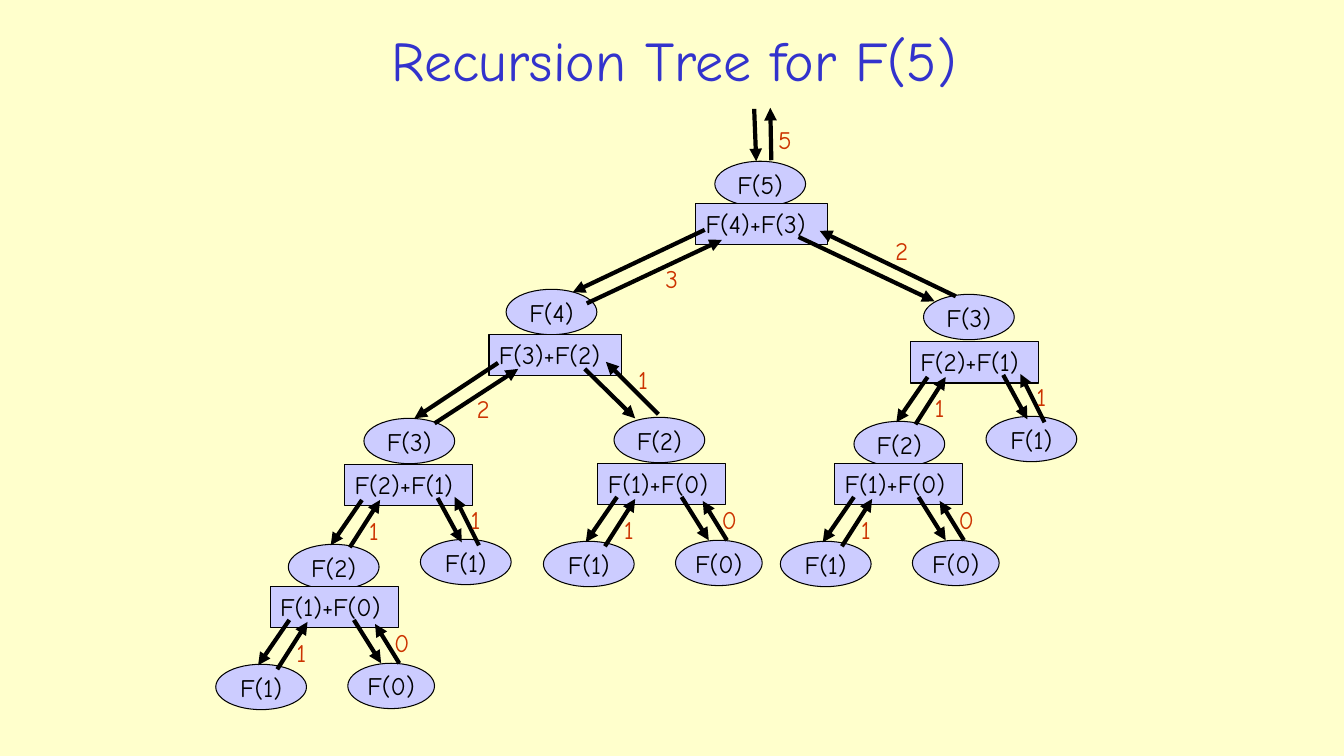
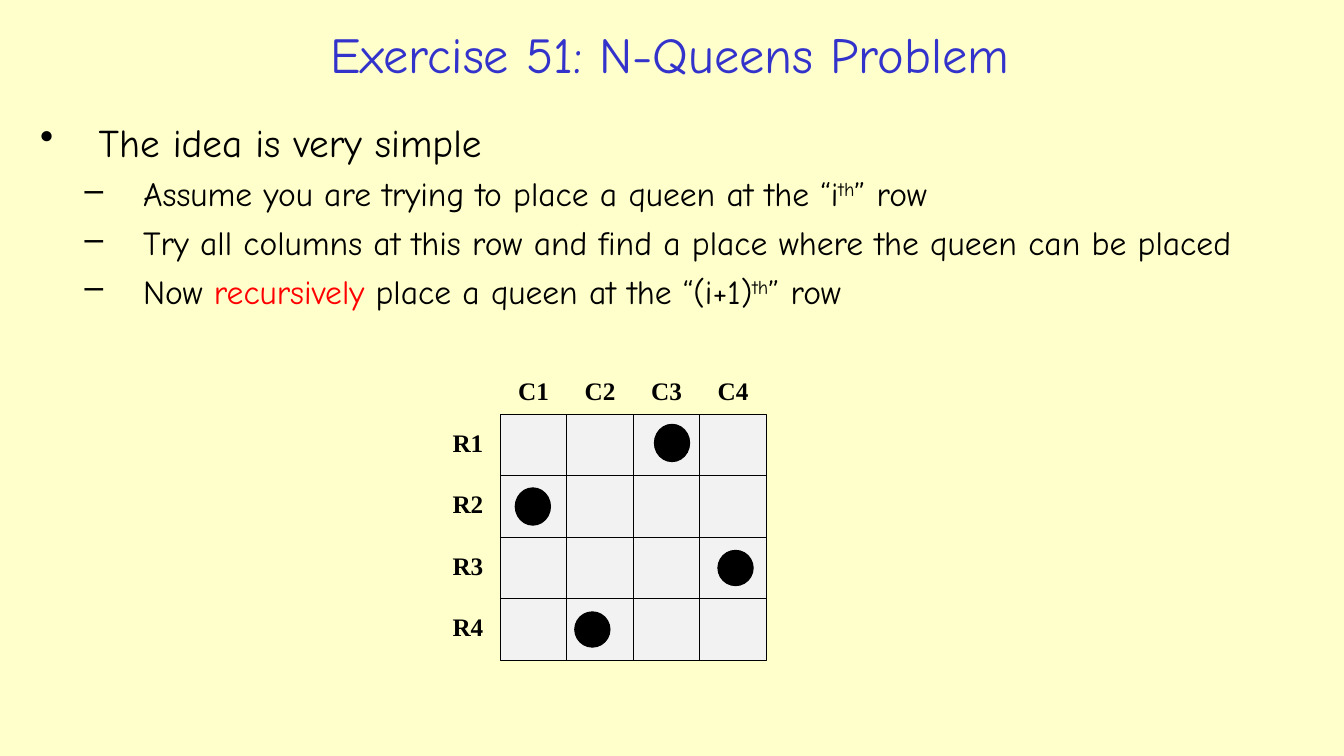
from typing import NamedTuple

from lxml import etree
from pptx import Presentation
from pptx.dml.color import RGBColor
from pptx.enum.shapes import MSO_CONNECTOR, MSO_SHAPE
from pptx.enum.text import MSO_ANCHOR, MSO_AUTO_SIZE, PP_ALIGN
from pptx.oxml.ns import qn
from pptx.util import Pt

# Scale: 100 px to the inch
PX = 9144
SLIDE_WIDTH, SLIDE_HEIGHT = 1333, 750

RECTANGLE = MSO_SHAPE.RECTANGLE
ELLIPSE = MSO_SHAPE.OVAL
STRAIGHT = MSO_CONNECTOR.STRAIGHT
TOP, MIDDLE = MSO_ANCHOR.TOP, MSO_ANCHOR.MIDDLE
LEFT, CENTER = PP_ALIGN.LEFT, PP_ALIGN.CENTER
NO_AUTOFIT = MSO_AUTO_SIZE.NONE
TITLE_ONLY = 5

CREAM = RGBColor(0xFF, 0xFF, 0xCC)
BLUE = RGBColor(0x33, 0x33, 0xCC)
LAVENDER = RGBColor(0xCC, 0xCC, 0xFF)
RUST = RGBColor(0xCC, 0x33, 0x00)
RED = RGBColor(0xFF, 0x00, 0x00)
GRAY = RGBColor(0xF2, 0xF2, 0xF2)
BLACK = RGBColor(0x00, 0x00, 0x00)

HAND_FONT = "Comic Neue"
SERIF_FONT = "Times New Roman"


class Branch(NamedTuple):
    """Offsets of a call and its arrows from the corner of the parent sum."""
    call: tuple
    down: tuple
    up: tuple
    result: tuple


TOP_LEFT = Branch((-188, 85), (9, 26, -122, 88), (-108, 99, 26, 36), (-40, 54))
TOP_RIGHT = Branch((226, 90), (102, 33, 237, 97), (258, 92, 123, 27), (188, 27))
WIDE_LEFT = Branch((-124, 83), (9, 28, -74, 83), (-54, 88, 29, 34), (-22, 53))
WIDE_RIGHT = Branch((124, 82), (95, 34, 145, 83), (168, 79, 116, 27), (138, 25))
MID_LEFT = Branch((-56, 79), (17, 35, -14, 80), (5, 82, 35, 35), (14, 45))
MID_RIGHT = Branch((75, 74), (92, 33, 116, 77), (133, 80, 109, 32), (115, 34))
LOW_LEFT = Branch((-54, 77), (19, 33, -12, 78), (7, 82, 37, 35), (16, 45))
LOW_RIGHT = Branch((77, 76), (83, 33, 110, 76), (128, 76, 104, 37), (113, 35))

# Branches below the sum for F(n), and the places of all sums from the top down
BRANCHES = {
    5: (TOP_LEFT, TOP_RIGHT),
    4: (WIDE_LEFT, WIDE_RIGHT),
    3: (MID_LEFT, MID_RIGHT),
    2: (LOW_LEFT, LOW_RIGHT),
}
SUMS = [
    (5, 690, 202), (4, 485, 332), (3, 342, 461), (2, 268, 582),
    (2, 593, 460), (3, 903, 339), (2, 828, 460),
]
FIBONACCI = [0, 1, 1, 2, 3, 5]

IDEA = [
    (0, [("The idea is very simple", {})]),
    (1, [("Assume you are trying to place a queen at the “i", {}),
         ("th", {"raised": True}), ("” row", {})]),
    (1, [("Try all columns at this row and find a place where "
          "the queen can be placed", {})]),
    (1, [("Now ", {}), ("recursively", {"color": RED}),
         (" place a queen at the “(i+1)", {}),
         ("th", {"raised": True}), ("” row", {})]),
]
# Size, left margin and bullet of each level
LEVELS = [(28, 58, "•"), (24, 102, "–")]
HANGING = 58

BOARD_LEFT, BOARD_TOP = 496, 411
CELL_WIDTH, CELL_HEIGHT = 66, 61
BOARD_SIZE = 4
QUEENS = [(649, 421, 37), (511, 484, 37), (712, 546, 35), (570, 607, 35)]


class Deck:
    """The shared style and the slide being built."""

    def __init__(self):
        self.presentation = Presentation()
        self.presentation.slide_width = SLIDE_WIDTH * PX
        self.presentation.slide_height = SLIDE_HEIGHT * PX
        fill = self.presentation.slide_master.background.fill
        fill.solid()
        fill.fore_color.rgb = CREAM
        self.slide = None

    def add_slide(self, title, box, size):
        layout = self.presentation.slide_layouts[TITLE_ONLY]
        self.slide = self.presentation.slides.add_slide(layout)
        shape = self.slide.shapes.title
        shape.left, shape.top, shape.width, shape.height = (n * PX for n in box)
        paragraph = self.frame(shape, MIDDLE, True, CENTER)
        self.run(paragraph, title, size, BLUE)

    def frame(self, shape, anchor, wrap, align):
        frame = shape.text_frame
        frame.auto_size = NO_AUTOFIT
        frame.word_wrap = wrap
        frame.vertical_anchor = anchor
        frame.paragraphs[0].alignment = align
        return frame.paragraphs[0]

    def run(self, paragraph, text, size=18, color=BLACK, font=HAND_FONT,
            bold=False, raised=False):
        run = paragraph.add_run()
        run.text = text
        run.font.name = font
        run.font.size = Pt(size)
        run.font.bold = bold
        run.font.color.rgb = color
        if raised:
            run._r.get_or_add_rPr().set("baseline", "30000")

    def shape(self, kind, left, top, width, height, color):
        shape = self.slide.shapes.add_shape(
            kind, left * PX, top * PX, width * PX, height * PX)
        shape.shadow.inherit = False
        shape.fill.solid()
        shape.fill.fore_color.rgb = color
        shape.line.color.rgb = BLACK
        shape.line.width = Pt(0.75)
        return shape

    def textbox(self, left, top, width, height, wrap=True):
        shape = self.slide.shapes.add_textbox(
            left * PX, top * PX, width * PX, height * PX)
        return self.frame(shape, TOP, wrap, LEFT)

    def call(self, n, left, top):
        shape = self.shape(ELLIPSE, left, top, 90 if n else 86, 45, LAVENDER)
        self.run(self.frame(shape, MIDDLE, False, CENTER), f"F({n})")

    def sum(self, n, left, top):
        width = 131 if n > 3 else 127
        shape = self.shape(RECTANGLE, left, top, width, 41, LAVENDER)
        self.run(self.frame(shape, TOP, True, LEFT), f"F({n - 1})+F({n - 2})")

    def result(self, value, left, top):
        self.run(self.textbox(left, top, 35, 40), str(value), color=RUST)

    def arrow(self, x1, y1, x2, y2):
        connector = self.slide.shapes.add_connector(
            STRAIGHT, x1 * PX, y1 * PX, x2 * PX, y2 * PX)
        connector.line.color.rgb = BLACK
        connector.line.width = Pt(3)
        properties = connector._element.spPr
        line = properties.find(qn("a:ln"))
        etree.SubElement(line, qn("a:tailEnd"), type="triangle")
        etree.SubElement(properties, qn("a:effectLst"))

    def branch(self, n, left, top, branch):
        def place(offsets):
            return [offset + (top if i % 2 else left)
                    for i, offset in enumerate(offsets)]

        self.call(n, *place(branch.call))
        self.arrow(*place(branch.down))
        self.arrow(*place(branch.up))
        self.result(FIBONACCI[n], *place(branch.result))

    def bullets(self, items, left, top, width, height):
        paragraph = self.textbox(left, top, width, height)
        frame = paragraph._parent
        for index, (level, runs) in enumerate(items):
            if index:
                paragraph = frame.add_paragraph()
                paragraph.space_before = Pt(6)
            size, margin, bullet = LEVELS[level]
            paragraph.level = level
            properties = paragraph._p.get_or_add_pPr()
            properties.set("marL", str(margin * PX))
            properties.set("indent", str(-HANGING * PX))
            etree.SubElement(properties, qn("a:buChar"), char=bullet)
            for text, style in runs:
                self.run(paragraph, text, size, **style)

    def board_label(self, text, left, top):
        paragraph = self.textbox(left, top, 51, 40, wrap=False)
        self.run(paragraph, text, font=SERIF_FONT, bold=True)


def build_recursion_tree(deck):
    deck.add_slide("Recursion Tree for F(5)", (190, 24, 957, 70), 40)

    # First call and its result
    deck.call(5, 709, 160)
    deck.arrow(748, 108, 750, 160)
    deck.arrow(765, 159, 764, 107)
    deck.result(FIBONACCI[5], 762, 118)

    # Each sum with its two calls
    for n, left, top in SUMS:
        deck.sum(n, left, top)
        for step, branch in enumerate(BRANCHES[n], start=1):
            deck.branch(n - step, left, top, branch)


def build_queens(deck):
    deck.add_slide("Exercise 51: N-Queens Problem", (211, 15, 907, 76), 36)
    deck.bullets(IDEA, 30, 112, 1275, 251)

    # Board with row and column labels
    for row in range(BOARD_SIZE):
        cell_top = BOARD_TOP + row * CELL_HEIGHT
        deck.board_label(f"R{row + 1}", 439, cell_top + 8)
        for column in range(BOARD_SIZE):
            deck.shape(RECTANGLE, BOARD_LEFT + column * CELL_WIDTH, cell_top,
                       CELL_WIDTH, CELL_HEIGHT, GRAY)
    for column in range(BOARD_SIZE):
        deck.board_label(f"C{column + 1}",
                         BOARD_LEFT + 8 + column * CELL_WIDTH, 367)

    # Queens
    for left, top, height in QUEENS:
        deck.shape(ELLIPSE, left, top, 35, height, BLACK)


def main():
    deck = Deck()
    build_recursion_tree(deck)
    build_queens(deck)
    deck.presentation.save("out.pptx")


if __name__ == "__main__":
    main()
